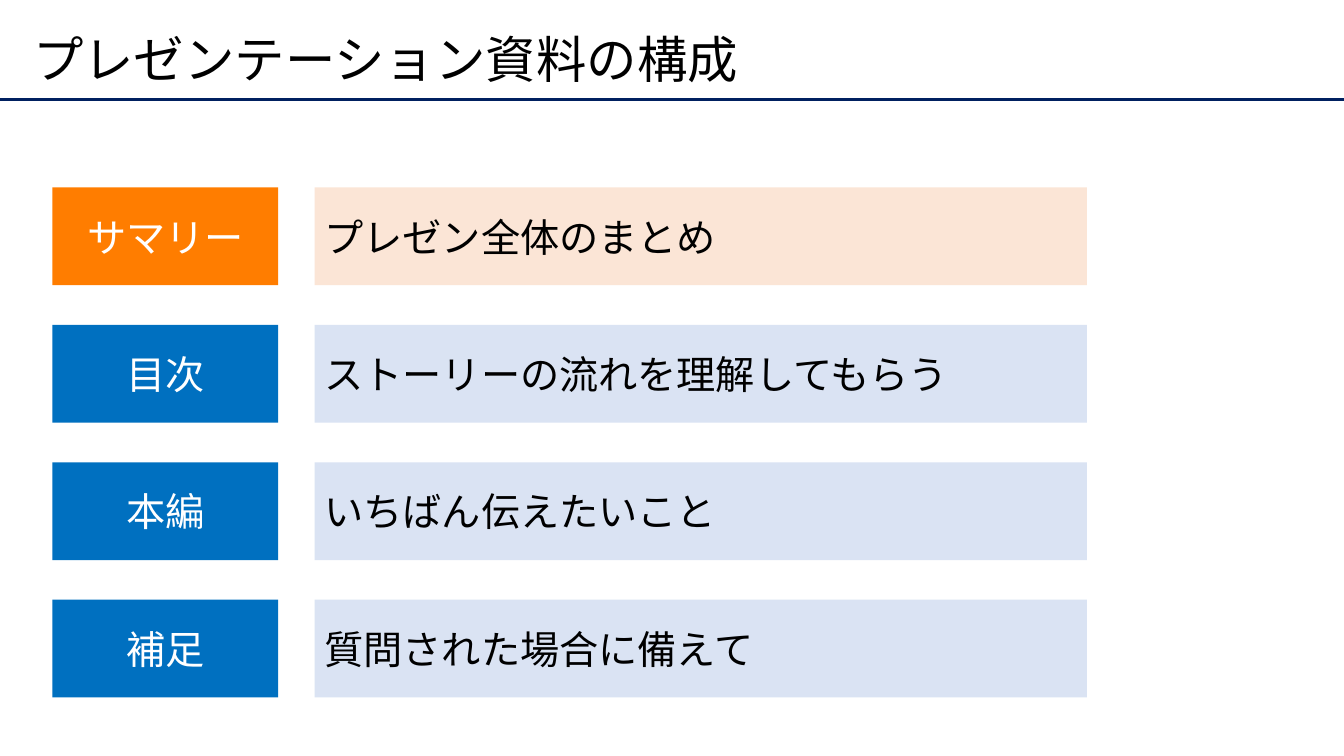
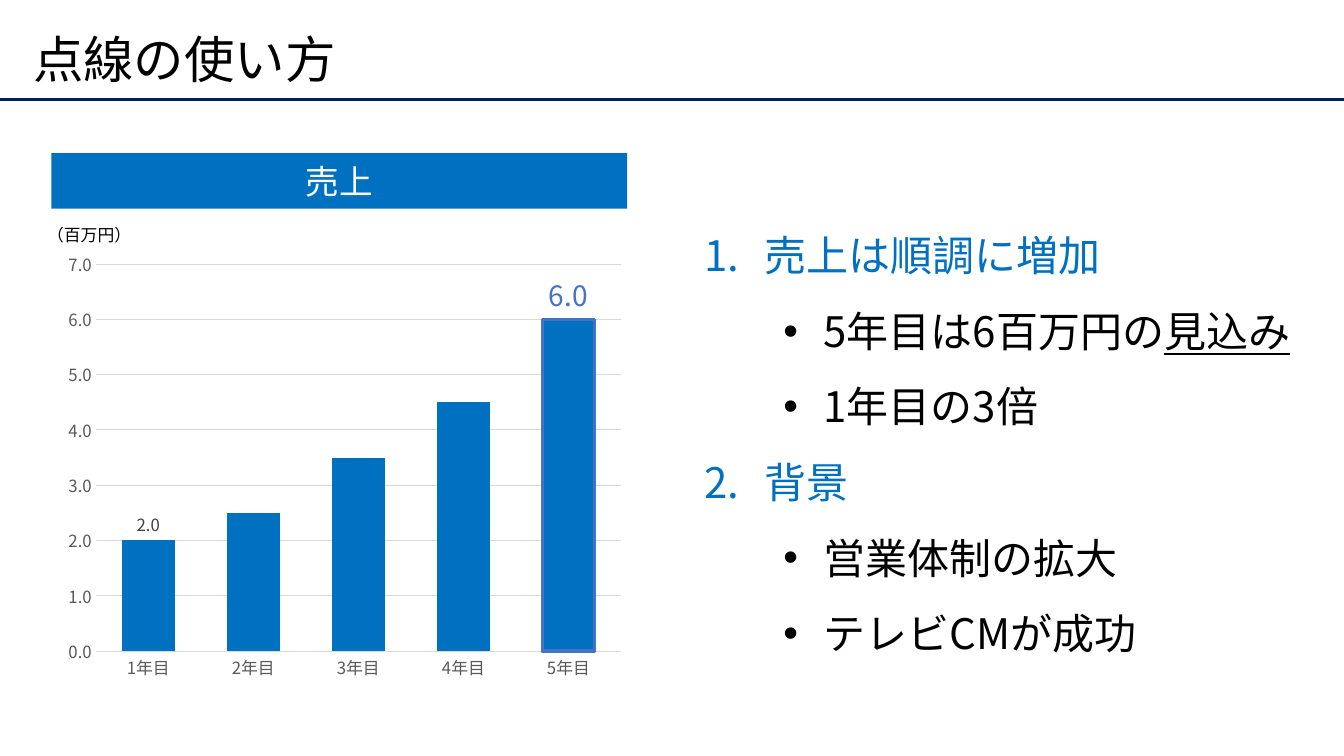
"""Build two slides: the parts of a presentation, and a sales chart with comments."""
from dataclasses import dataclass

from lxml.etree import SubElement
from pptx import Presentation
from pptx.chart.data import CategoryChartData
from pptx.dml.color import RGBColor
from pptx.enum.chart import XL_CHART_TYPE as ChartType
from pptx.enum.chart import XL_LABEL_POSITION as LabelPosition
from pptx.enum.chart import XL_TICK_MARK as TickMark
from pptx.enum.shapes import MSO_CONNECTOR as Connector
from pptx.enum.shapes import MSO_SHAPE as Shape
from pptx.enum.text import MSO_ANCHOR as Anchor
from pptx.enum.text import PP_ALIGN as Align
from pptx.oxml.ns import qn
from pptx.util import Inches, Pt

FONT = "Noto Sans CJK JP"
BLACK = RGBColor(0x00, 0x00, 0x00)
WHITE = RGBColor(0xFF, 0xFF, 0xFF)
NAVY = RGBColor(0x00, 0x20, 0x60)
BLUE = RGBColor(0x00, 0x70, 0xC0)
PALE_BLUE = RGBColor(0xDA, 0xE3, 0xF3)
ORANGE = RGBColor(0xFF, 0x7D, 0x00)
PALE_ORANGE = RGBColor(0xFB, 0xE5, 0xD6)
ACCENT = RGBColor(0x44, 0x72, 0xC4)
DARK_GRAY = RGBColor(0x40, 0x40, 0x40)
AXIS_GRAY = RGBColor(0x59, 0x59, 0x59)
GRID_GRAY = RGBColor(0xD9, 0xD9, 0xD9)

SLIDE_WIDTH, SLIDE_HEIGHT = 13.33, 7.5
ROW_TOP, ROW_LAST_TOP, ROW_HEIGHT = 1.86, 5.95, 0.97


@dataclass(frozen=True)
class Area:
    left: float
    top: float
    width: float
    height: float

    def lengths(self):
        return [Inches(n) for n in (self.left, self.top, self.width, self.height)]


@dataclass(frozen=True)
class Section:
    name: str
    purpose: str
    color: RGBColor = BLUE
    pale: RGBColor = PALE_BLUE


@dataclass(frozen=True)
class Comment:
    text: str
    heading: bool = False
    underlined: str = ""


@dataclass(frozen=True)
class PointLabel:
    index: int
    size: int
    color: RGBColor


SECTIONS = [
    Section("サマリー", "プレゼン全体のまとめ", ORANGE, PALE_ORANGE),
    Section("目次", "ストーリーの流れを理解してもらう"),
    Section("本編", "いちばん伝えたいこと"),
    Section("補足", "質問された場合に備えて"),
]
COMMENTS = [
    Comment("売上は順調に増加", heading=True),
    Comment("5年目は6百万円の", underlined="見込み"),
    Comment("1年目の3倍"),
    Comment("背景", heading=True),
    Comment("営業体制の拡大"),
    Comment("テレビCMが成功"),
]
SALES = {"1年目": 2, "2年目": 2.5, "3年目": 3.5, "4年目": 4.5, "5年目": 6}
LABELS = [PointLabel(0, 12, DARK_GRAY), PointLabel(4, 20, ACCENT)]
CHART_AREA = Area(0.52, 2.41, 5.75, 4.42)
PLOT_AREA = Area(0.95, 2.62, 5.21, 3.84)


def style_font(font, size: float, color: RGBColor) -> None:
    font.name = FONT
    font.size = Pt(size)
    font.color.rgb = color


def style_runs(para, size: float, color: RGBColor) -> None:
    for span in para.runs:
        style_font(span.font, size, color)
        SubElement(span.font._element, qn("a:ea"), typeface=FONT)


def add_text(slide, area: Area, text: str, size: float, wrap: bool = True):
    box = slide.shapes.add_textbox(*area.lengths())
    box.text_frame.word_wrap = wrap
    box.text_frame.text = text
    style_runs(box.text_frame.paragraphs[0], size, BLACK)
    return box


def add_block(slide, area: Area, text: str, fill: RGBColor, size: float,
              color: RGBColor = WHITE, align: Align = Align.CENTER) -> None:
    block = slide.shapes.add_shape(Shape.RECTANGLE, *area.lengths())
    block.shadow.inherit = False
    block.fill.solid()
    block.fill.fore_color.rgb = fill
    block.line.fill.background()
    frame = block.text_frame
    frame.word_wrap = True
    frame.vertical_anchor = Anchor.MIDDLE
    frame.text = text
    frame.paragraphs[0].alignment = align
    style_runs(frame.paragraphs[0], size, color)


def add_page(deck, title: str):
    page = deck.slides.add_slide(deck.slide_layouts[6])
    rule = page.shapes.add_connector(
        Connector.STRAIGHT, 0, Inches(0.99), Inches(SLIDE_WIDTH), Inches(0.99))
    rule.line.color.rgb = NAVY
    rule.line.width = Pt(2.25)
    SubElement(rule._element.spPr, qn("a:effectLst"))
    box = add_text(page, Area(0.23, 0.2, 12.6, 0.84), title, 36)
    box.text_frame.vertical_anchor = Anchor.MIDDLE
    box.text_frame.paragraphs[0].line_spacing = 0.9
    return page


def add_comment(para, comment: Comment) -> None:
    para.line_spacing = 1.5
    para.level = 0 if comment.heading else 1
    indent, hang = (0.59, 0.59) if comment.heading else (1.18, 0.4)
    properties = para._p.get_or_add_pPr()
    properties.set("marL", str(Inches(indent)))
    properties.set("indent", str(-Inches(hang)))
    if comment.heading:
        SubElement(properties, qn("a:buFont"), typeface="+mj-lt")
        SubElement(properties, qn("a:buAutoNum"), type="arabicPeriod")
    else:
        SubElement(properties, qn("a:buFont"), typeface="Arial")
        SubElement(properties, qn("a:buChar"), char="•")
    para.text = comment.text
    if comment.underlined:
        span = para.add_run()
        span.text = comment.underlined
        span.font.underline = True
    style_runs(para, 30, BLUE if comment.heading else BLACK)


def place_plot(chart) -> None:
    plot_area = chart._chartSpace.chart.plotArea
    for old in plot_area.findall(qn("c:layout")):
        plot_area.remove(old)
    layout = SubElement(plot_area, qn("c:layout"))
    plot_area.insert(0, layout)
    manual = SubElement(layout, qn("c:manualLayout"))
    settings = {
        "layoutTarget": "inner", "xMode": "edge", "yMode": "edge",
        "x": (PLOT_AREA.left - CHART_AREA.left) / CHART_AREA.width,
        "y": (PLOT_AREA.top - CHART_AREA.top) / CHART_AREA.height,
        "w": PLOT_AREA.width / CHART_AREA.width,
        "h": PLOT_AREA.height / CHART_AREA.height,
    }
    for tag, value in settings.items():
        SubElement(manual, qn(f"c:{tag}"), val=str(value))


def style_axes(chart) -> None:
    for axis in (chart.category_axis, chart.value_axis):
        axis.major_tick_mark = axis.minor_tick_mark = TickMark.NONE
        style_font(axis.tick_labels.font, 12, AXIS_GRAY)
    values = chart.value_axis
    values.minimum_scale, values.maximum_scale, values.major_unit = 0, 7, 1
    values.tick_labels.number_format = "0.0"
    values.tick_labels.number_format_is_linked = False
    values.format.line.fill.background()
    for line in (chart.category_axis.format.line, values.major_gridlines.format.line):
        line.color.rgb = GRID_GRAY
        line.width = Pt(0.75)


def add_sales_chart(slide) -> None:
    data = CategoryChartData(number_format="0.0")
    data.categories = list(SALES)
    data.add_series("Series 1", list(SALES.values()))
    chart = slide.shapes.add_chart(
        ChartType.COLUMN_CLUSTERED, *CHART_AREA.lengths(), data).chart
    chart.has_legend = chart.has_title = False
    style_font(chart.font, 10, BLACK)
    style_axes(chart)
    plot = chart.plots[0]
    plot.vary_by_categories = False
    plot.gap_width, plot.overlap = 100, -27
    series = plot.series[0]
    series.format.fill.solid()
    series.format.fill.fore_color.rgb = BLUE
    series.data_labels.show_value = False
    for label in LABELS:
        data_label = series.points[label.index].data_label
        style_font(data_label.font, label.size, label.color)
        data_label.position = LabelPosition.OUTSIDE_END
    forecast = series.points[len(SALES) - 1].format
    forecast.fill.solid()
    forecast.fill.fore_color.rgb = BLUE
    forecast.line.color.rgb = ACCENT
    forecast.line.width = Pt(2.25)
    place_plot(chart)


def build_structure(deck) -> None:
    page = add_page(deck, "プレゼンテーション資料の構成")
    step = (ROW_LAST_TOP - ROW_TOP) / (len(SECTIONS) - 1)
    for index, section in enumerate(SECTIONS):
        top = ROW_TOP + index * step
        add_block(page, Area(0.52, top, 2.24, ROW_HEIGHT),
                  section.name, section.color, 28)
        add_block(page, Area(3.12, top, 7.66, ROW_HEIGHT),
                  section.purpose, section.pale, 28, BLACK, Align.LEFT)


def build_sales(deck) -> None:
    page = add_page(deck, "点線の使い方")
    add_sales_chart(page)
    add_block(page, Area(0.51, 1.52, 5.71, 0.55), "売上", BLUE, 24)
    add_text(page, Area(0.37, 2.18, 1.04, 0.3), "（百万円）", 12, wrap=False)
    box = page.shapes.add_textbox(*Area(6.89, 1.98, 6.39, 4.57).lengths())
    frame = box.text_frame
    frame.word_wrap = True
    for index, comment in enumerate(COMMENTS):
        add_comment(frame.add_paragraph() if index else frame.paragraphs[0], comment)


def main() -> None:
    deck = Presentation()
    deck.slide_width = Inches(SLIDE_WIDTH)
    deck.slide_height = Inches(SLIDE_HEIGHT)
    build_structure(deck)
    build_sales(deck)
    deck.save("out.pptx")


if __name__ == "__main__":
    main()
